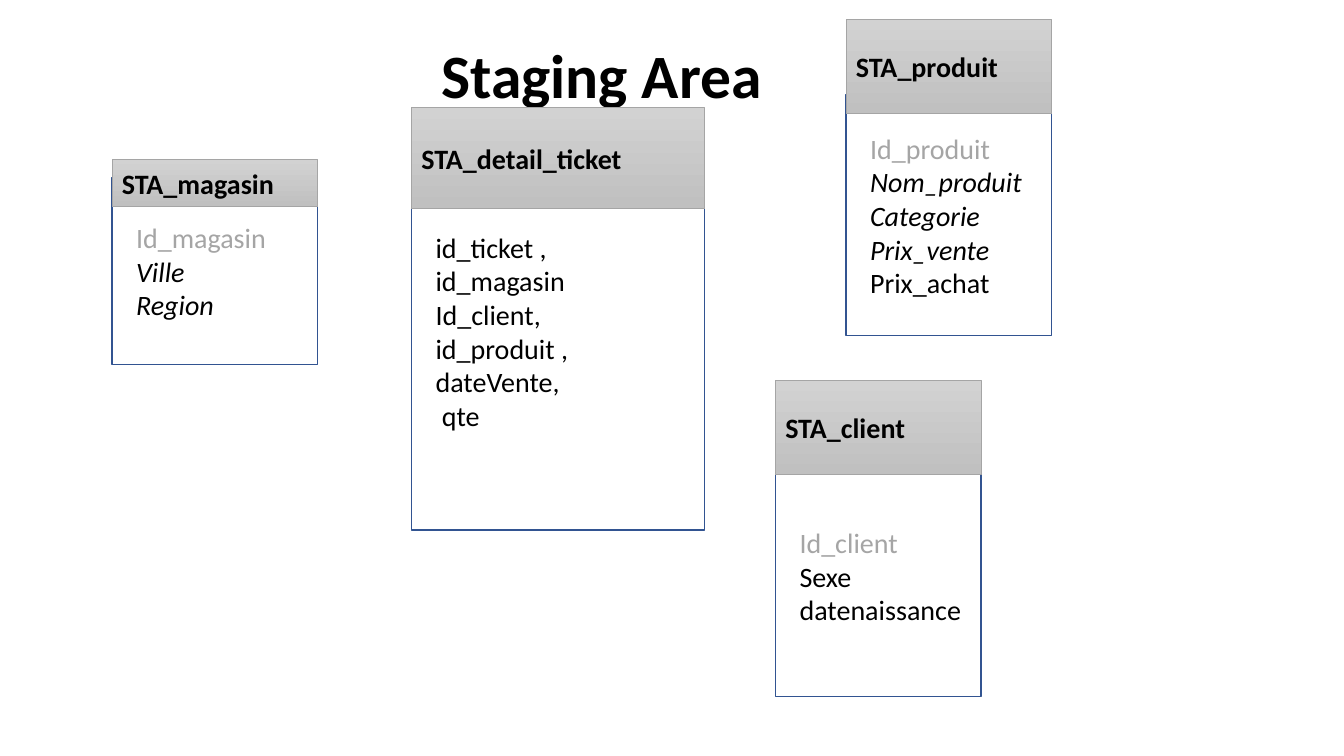
"""Draw the staging area tables as cards on one slide."""
from pptx import Presentation
from pptx.dml.color import RGBColor
from pptx.enum.shapes import MSO_SHAPE
from pptx.enum.text import MSO_ANCHOR, PP_ALIGN
from pptx.util import Inches, Pt

COLORS = {
    "text": "000000",
    "key": "A5A5A5",
    "body": "FFFFFF",
    "border": "325491",
    "top": "D2D2D2",
    "bottom": "C0C0C0",
    "edge": "A5A5A5",
}


def color(name):
    return RGBColor.from_string(COLORS[name])


class Board:
    font = "Calibri"
    size = 20

    def __init__(self, slide):
        self.slide = slide

    def label(self, para, text, tone="text", bold=False, italic=False, size=None):
        run = para.add_run()
        run.text = text
        font = run.font
        font.name = self.font
        font.size = Pt(size or self.size)
        font.bold = bold
        font.italic = italic
        font.color.rgb = color(tone)

    def title(self, text, left, top, width, height):
        box = self.slide.shapes.add_textbox(
            Inches(left), Inches(top), Inches(width), Inches(height))
        frame = box.text_frame
        frame.word_wrap = True
        frame.vertical_anchor = MSO_ANCHOR.MIDDLE
        para = frame.paragraphs[0]
        para.alignment = PP_ALIGN.CENTER
        para.line_spacing = 0.9
        self.label(para, text, bold=True, size=44)

    def rect(self, group, left, top, width, height, line, weight):
        shape = group.shapes.add_shape(
            MSO_SHAPE.RECTANGLE,
            Inches(left), Inches(top), Inches(width), Inches(height))
        shape.shadow.inherit = False
        shape.line.color.rgb = color(line)
        shape.line.width = Pt(weight)
        frame = shape.text_frame
        frame.word_wrap = True
        frame.vertical_anchor = MSO_ANCHOR.MIDDLE
        return shape

    def body(self, group, fields, left, top, width, height, pad):
        shape = self.rect(group, left, top, width, height, "border", 1)
        shape.fill.solid()
        shape.fill.fore_color.rgb = color("body")
        frame = shape.text_frame
        frame.margin_left = Inches(0.24)
        frame.margin_bottom = Inches(pad)
        for index, (text, tone, italic) in enumerate(fields):
            para = frame.add_paragraph() if index else frame.paragraphs[0]
            para.alignment = PP_ALIGN.LEFT
            self.label(para, text, tone, italic=italic)

    def header(self, group, name, left, top, width, height):
        shape = self.rect(group, left, top, width, height, "edge", 0.5)
        shape.fill.gradient()
        shape.fill.gradient_angle = 270
        for stop, tone in zip(shape.fill.gradient_stops, ("top", "bottom")):
            stop.color.rgb = color(tone)
        para = shape.text_frame.paragraphs[0]
        para.alignment = PP_ALIGN.LEFT
        self.label(para, name, bold=True)

    def card(self, name, fields, left, width, head, body, pad=0.05):
        group = self.slide.shapes.add_group_shape()
        self.body(group, fields, left, body[0], width, body[1], pad)
        self.header(group, name, left, head[0], width, head[1])


def key(text):
    return text, "key", False


def plain(text):
    return text, "text", False


def slant(text):
    return text, "text", True


def main():
    deck = Presentation()
    deck.slide_width = Inches(13.33)
    deck.slide_height = Inches(7.5)
    board = Board(deck.slides.add_slide(deck.slide_layouts[6]))

    board.title("Staging Area", 0.22, 0.05, 11.5, 1.45)
    board.card("STA_magasin",
               [key("Id_magasin"), slant("Ville"), slant("Region")],
               1.11, 2.04, (1.58, 0.47), (1.76, 1.86))
    board.card("STA_client",
               [key("Id_client"), plain("Sexe"), plain("datenaissance")],
               7.69, 2.04, (3.77, 0.94), (4.52, 2.39))
    board.card("STA_detail_ticket",
               [plain("id_ticket ,"), plain("id_magasin"), plain("Id_client,"),
                plain("id_produit , dateVente,"), plain(" qte")],
               4.08, 2.91, (1.07, 1), (1.64, 3.62), pad=0.38)
    board.card("STA_produit",
               [key("Id_produit"), slant("Nom_produit"), slant("Categorie"),
                slant("Prix_vente"), plain("Prix_achat")],
               8.39, 2.04, (0.19, 0.94), (0.94, 2.39))
    deck.save("out.pptx")


if __name__ == "__main__":
    main()
